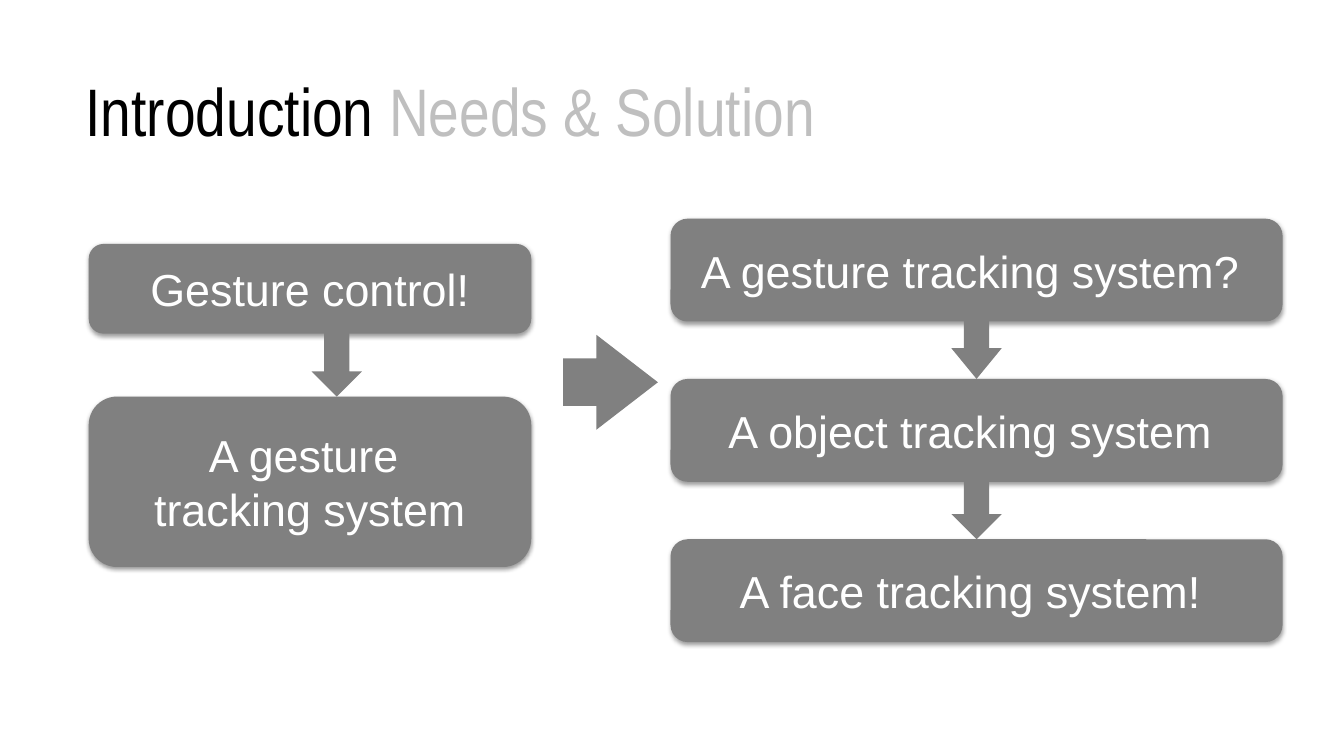
from lxml.etree import SubElement
from pptx import Presentation
from pptx.dml.color import RGBColor
from pptx.enum.shapes import MSO_SHAPE
from pptx.enum.text import MSO_ANCHOR, MSO_AUTO_SIZE, PP_ALIGN
from pptx.oxml.ns import qn
from pptx.util import Inches, Pt

COLORS = {"title": "000000", "subtitle": "BFBFBF", "box": "808080", "text": "FFFFFF", "shadow": "000000"}
WIDTH, HEIGHT = Inches(13.33), Inches(7.48)
GRID = 100
ARROW_WIDTH, ARROW_HEIGHT = 3.75, 8.42


class SlideBuilder:
    """Draws styled elements on a slide divided into 100 columns and 100 rows."""

    def __init__(self, slide):
        self.slide = slide

    def place(self, left, top, width, height):
        return (int(left * WIDTH / GRID), int(top * HEIGHT / GRID),
                int(width * WIDTH / GRID), int(height * HEIGHT / GRID))

    def format_run(self, run, font_name, size, color):
        run.font.name = font_name
        run.font.size = Pt(size)
        run.font.color.rgb = RGBColor.from_string(COLORS[color])

    def title(self, parts, *cells):
        title = self.slide.shapes.title
        title.left, title.top, title.width, title.height = self.place(*cells)
        frame = title.text_frame
        frame.word_wrap = False
        frame.auto_size = MSO_AUTO_SIZE.SHAPE_TO_FIT_TEXT
        frame.vertical_anchor = MSO_ANCHOR.TOP
        frame.margin_left = frame.margin_right = Inches(0.13)
        frame.margin_top = frame.margin_bottom = Inches(0.07)
        paragraph = frame.paragraphs[0]
        paragraph.alignment = PP_ALIGN.LEFT
        for text, color in parts:
            run = paragraph.add_run()
            run.text = text
            self.format_run(run, "Arial Narrow", 48, color)

    def shape(self, kind, *cells):
        shape = self.slide.shapes.add_shape(kind, *self.place(*cells))
        shape.shadow.inherit = False
        shape.fill.solid()
        shape.fill.fore_color.rgb = RGBColor.from_string(COLORS["box"])
        shape.line.fill.background()
        return shape

    def shadow(self, shape):
        effects = shape.element.spPr.find(qn("a:effectLst"))
        outer = SubElement(effects, qn("a:outerShdw"), blurRad=str(Pt(3.1)),
                           dist=str(Pt(1.6)), dir="5400000", rotWithShape="0")
        color = SubElement(outer, qn("a:srgbClr"), val=COLORS["shadow"])
        SubElement(color, qn("a:alpha"), val="38000")

    def box(self, text, *cells):
        shape = self.shape(MSO_SHAPE.ROUNDED_RECTANGLE, *cells)
        self.shadow(shape)
        frame = shape.text_frame
        frame.text = text
        frame.vertical_anchor = MSO_ANCHOR.MIDDLE
        for paragraph in frame.paragraphs:
            paragraph.alignment = PP_ALIGN.CENTER
            for run in paragraph.runs:
                self.format_run(run, "Arial", 32, "text")

    def arrow(self, kind, head, *cells):
        shape = self.shape(kind, *cells)
        shape.adjustments[0] = 0.5
        shape.adjustments[1] = head

    def down_arrow(self, center, tip, head=0.5):
        self.arrow(MSO_SHAPE.DOWN_ARROW, head, center - ARROW_WIDTH / 2,
                   tip - ARROW_HEIGHT, ARROW_WIDTH, ARROW_HEIGHT)


def main():
    presentation = Presentation()
    presentation.slide_width, presentation.slide_height = WIDTH, HEIGHT
    builder = SlideBuilder(presentation.slides.add_slide(presentation.slide_layouts[5]))
    builder.title([("Introduction ", "title"), ("Needs & Solution", "subtitle")],
                  5.4, 8.29, 63.77, 12.57)

    need_left, need_width, answer_top = 6.6, 32.93, 52.6
    builder.box("Gesture control!", need_left, 32.35, need_width, 11.9)
    builder.box("A gesture \ntracking system", need_left, answer_top, need_width, 22.6)
    builder.down_arrow(25.06, answer_top)

    left, top, width, height, step = 49.89, 29, 45.54, 13.64, 21.26
    systems = ["A gesture tracking system? ", "A object tracking system ", "A face tracking system! "]
    for index, text in enumerate(systems):
        builder.box(text, left, top + index * step, width, height)
    for index, head in enumerate([0.61, 0.5], start=1):
        builder.down_arrow(left + width / 2, top + index * step, head)

    builder.arrow(MSO_SHAPE.RIGHT_ARROW, 0.65, 41.9, 44.4, 7.05, 12.6)
    presentation.save("out.pptx")


if __name__ == "__main__":
    main()
